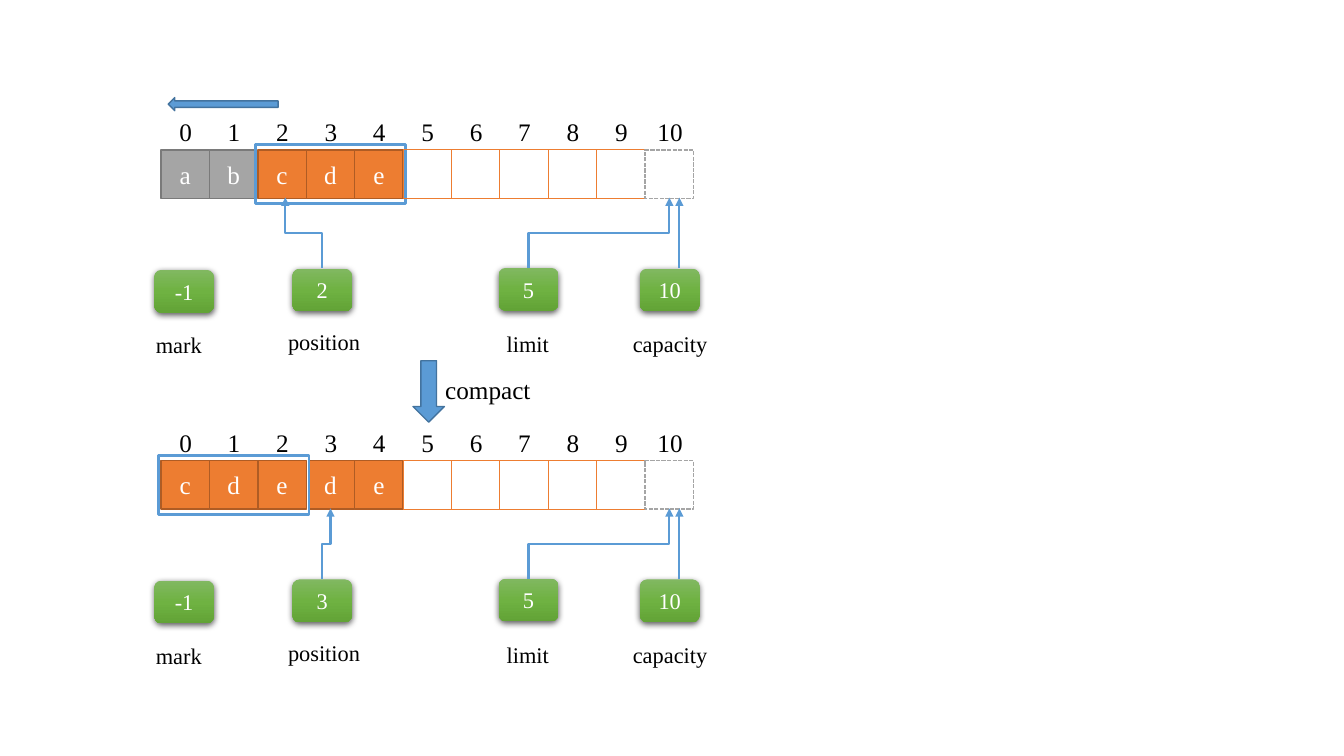
from dataclasses import dataclass

from pptx import Presentation
from pptx import util as u
from pptx.dml.color import RGBColor
from pptx.enum import dml, shapes, text
from pptx.oxml import parse_xml
from pptx.oxml.ns import nsdecls


@dataclass(frozen=True)
class Theme:
    font: str = "Times New Roman"
    body: int = 18
    small: int = 16
    black: str = "000000"
    white: str = "FFFFFF"
    blue: str = "5B9BD5"
    dark_blue: str = "43739E"
    orange: str = "ED7D31"
    dark_orange: str = "AF5C24"
    gray: str = "A5A5A5"
    dark_gray: str = "7A7A7A"
    greens: tuple = ("81B861", "6FB242", "62A336")


THEME = Theme()
Kind = shapes.MSO_SHAPE

# Buffer geometry in centimetres
CELL = 1.22
BUFFER_LEFT = 4.06
CAPACITY = 10

# Pointer variables: name, box left, box drop, label left, label width, label drop
POINTERS = [
    ("mark", 3.89, 3.02, 3.68, 1.91, 4.45),
    ("position", 7.37, 2.99, 7.01, 2.57, 4.37),
    ("limit", 12.57, 2.97, 12.52, 1.83, 4.42),
    ("capacity", 16.13, 2.99, 15.7, 2.64, 4.42),
]


def cell_left(index):
    return BUFFER_LEFT + index * CELL


def write(frame, words, size=THEME.body, color=THEME.black,
          align=text.PP_ALIGN.CENTER, anchor=text.MSO_ANCHOR.MIDDLE, wrap=True):
    frame.word_wrap = wrap
    frame.vertical_anchor = anchor
    paragraph = frame.paragraphs[0]
    paragraph.alignment = align
    run = paragraph.add_run()
    run.text = words
    run.font.name = THEME.font
    run.font.size = u.Pt(size)
    run.font.color.rgb = RGBColor.from_string(color)


def add_label(slide, words, left, top, width, height, **style):
    label = slide.shapes.add_textbox(*map(u.Cm, (left, top, width, height)))
    style = {"align": text.PP_ALIGN.LEFT, "anchor": text.MSO_ANCHOR.TOP} | style
    write(label.text_frame, words, **style)
    label.text_frame.auto_size = text.MSO_AUTO_SIZE.SHAPE_TO_FIT_TEXT


def add_block(slide, kind, left, top, width, height, fill=None, line=None, weight=1):
    block = slide.shapes.add_shape(kind, *map(u.Cm, (left, top, width, height)))
    block.shadow.inherit = False
    for paint, color in ((block.fill, fill), (block.line.fill, line)):
        if color:
            paint.solid()
            paint.fore_color.rgb = RGBColor.from_string(color)
        else:
            paint.background()
    if line:
        block.line.width = u.Pt(weight)
    return block


def add_cell(slide, index, top, letter, fill, line, weight=1):
    cell = add_block(slide, Kind.RECTANGLE, cell_left(index), top, CELL, CELL,
                     fill, line, weight)
    if letter:
        write(cell.text_frame, letter, color=THEME.white)
    return cell


def add_value_box(slide, value, left, top):
    box = add_block(slide, Kind.ROUNDED_RECTANGLE, left, top, 1.5, 1.08)
    write(box.text_frame, value, size=THEME.small, color=THEME.white)
    # Vertical three-stop gradient
    stops = "".join(f'<a:gs pos="{i * 50000}"><a:srgbClr val="{color}"/></a:gs>'
                    for i, color in enumerate(THEME.greens))
    gradient = parse_xml(f'<a:gradFill {nsdecls("a")} rotWithShape="1"><a:gsLst>{stops}'
                         '</a:gsLst><a:lin ang="5400000" scaled="0"/></a:gradFill>')
    properties = box._element.spPr
    properties.replace(properties.find("{*}noFill"), gradient)
    # Soft shadow below the box
    properties.find("{*}effectLst").append(parse_xml(
        f'<a:outerShdw {nsdecls("a")} blurRad="{u.Pt(4.5)}" dist="{u.Pt(1.5)}" '
        f'dir="5400000" rotWithShape="0"><a:srgbClr val="{THEME.black}">'
        '<a:alpha val="63000"/></a:srgbClr></a:outerShdw>'))


def add_pointer_arrow(slide, start_x, end_x, start_y, end_y):
    """Arrow going up; it bends halfway when the two ends are not aligned."""
    shift, rise = end_x - start_x, start_y - end_y
    if shift:
        # The elbow is laid out sideways, then turned to start vertically
        mid_x, mid_y = (start_x + end_x) / 2, (start_y + end_y) / 2
        kind = shapes.MSO_CONNECTOR.ELBOW
        ends = (mid_x - rise / 2, mid_y - shift / 2, mid_x + rise / 2, mid_y + shift / 2)
    else:
        kind = shapes.MSO_CONNECTOR.STRAIGHT
        ends = (start_x, start_y, end_x, end_y)
    arrow = slide.shapes.add_connector(kind, *map(u.Cm, ends))
    arrow.line.color.rgb = RGBColor.from_string(THEME.blue)
    arrow.line.width = u.Pt(1.5)
    properties = arrow._element.spPr
    if shift:
        properties.find("{*}xfrm").set("rot", "16200000")
    properties.find("{*}ln").append(parse_xml(f'<a:tailEnd {nsdecls("a")} type="triangle"/>'))
    properties.append(parse_xml(f'<a:effectLst {nsdecls("a")}/>'))


def add_buffer(slide, top, letters, consumed, window, behind, values, position_x):
    """One buffer state; `behind` is the cell overlapped by the window frame."""
    def draw_letter(index):
        colors = ((THEME.gray, THEME.dark_gray) if index < consumed
                  else (THEME.orange, THEME.dark_orange))
        add_cell(slide, index, top, letters[index], *colors)

    # Cells and the frame around the remaining data
    draw_letter(behind)
    add_block(slide, Kind.RECTANGLE, cell_left(window) - 0.06, top - 0.14, 3.79, 1.5,
              THEME.white, THEME.blue, 2)
    for index in range(len(letters)):
        if index != behind:
            draw_letter(index)
    for index in range(len(letters), CAPACITY):
        add_cell(slide, index, top, "", None, THEME.orange, 0.75)
    end_cell = add_cell(slide, CAPACITY, top, "", THEME.white, THEME.gray)
    end_cell.line.dash_style = dml.MSO_LINE.SQUARE_DOT

    # Index numbers centred over the cells
    for index in range(CAPACITY + 1):
        width = 0.84 if index < 10 else 1.14
        left = cell_left(index) + (CELL - width) / 2 + 0.02
        add_label(slide, str(index), left, top - 0.97, width, 1.02, wrap=False)

    # Pointer values, names and arrows
    for value, (name, left, drop, label_left, width, label_drop) in zip(values, POINTERS):
        add_value_box(slide, value, left, top + drop)
        add_label(slide, name, label_left, top + label_drop, width, 0.94, size=THEME.small)
    for start_x, end_x in ((8.11, position_x),
                           (13.32, cell_left(CAPACITY + 0.5)),
                           (17.12, 17.12)):
        add_pointer_arrow(slide, start_x, end_x, top + 2.98, top + 1.2)


def main():
    deck = Presentation()
    deck.slide_width, deck.slide_height = u.Cm(33.87), u.Cm(19.05)
    slide = deck.slides.add_slide(deck.slide_layouts[6])

    # Before and after compacting
    add_buffer(slide, 3.78, "abcde", consumed=2, window=2, behind=1,
               values=("-1", "2", "5", "10"), position_x=7.19)
    add_buffer(slide, 11.61, "cdede", consumed=0, window=0, behind=3,
               values=("-1", "3", "5", "10"), position_x=cell_left(3.5))

    # Compact step and shift direction
    add_block(slide, Kind.DOWN_ARROW, 10.41, 9.09, 0.79, 1.55, THEME.blue, THEME.dark_blue)
    add_label(slide, "compact", 10.97, 9.3, 2.69, 1.02, wrap=False)
    add_block(slide, Kind.LEFT_ARROW, 4.24, 2.46, 2.77, 0.33, THEME.blue, THEME.dark_blue)

    deck.save("out.pptx")


main()
